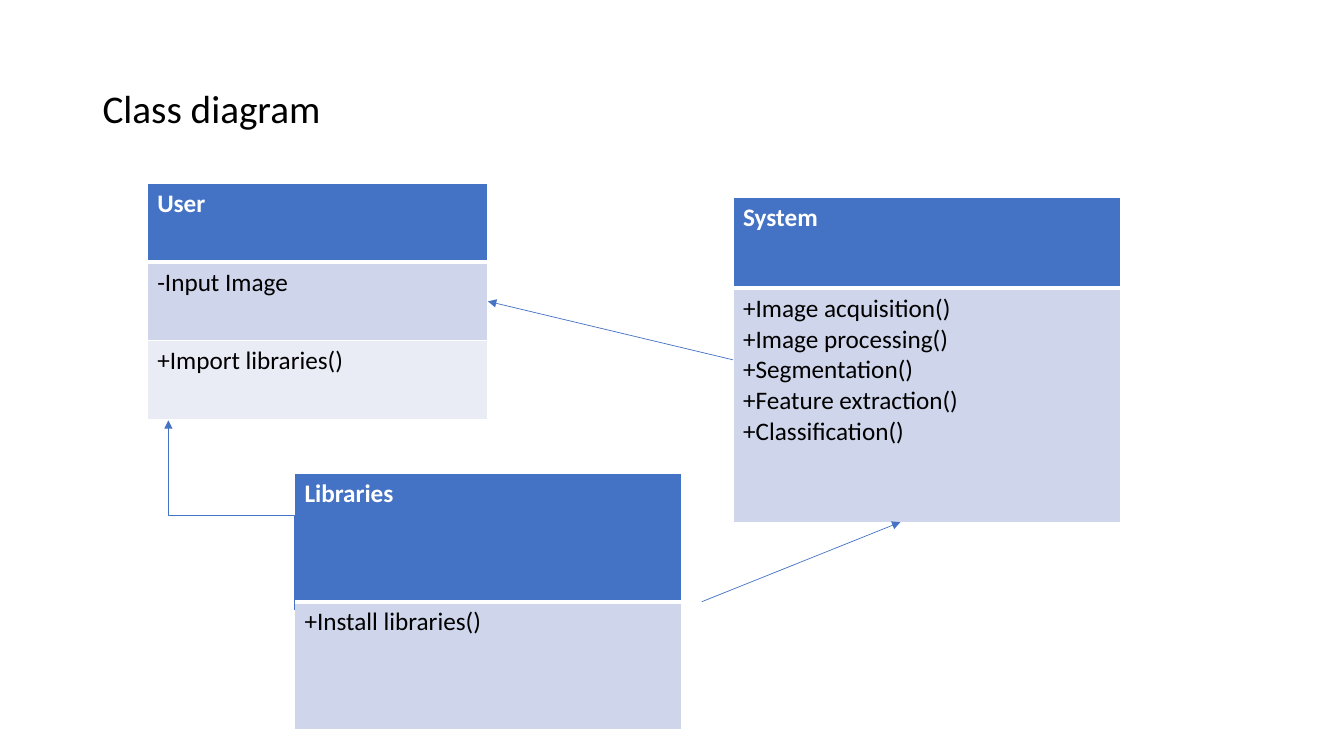
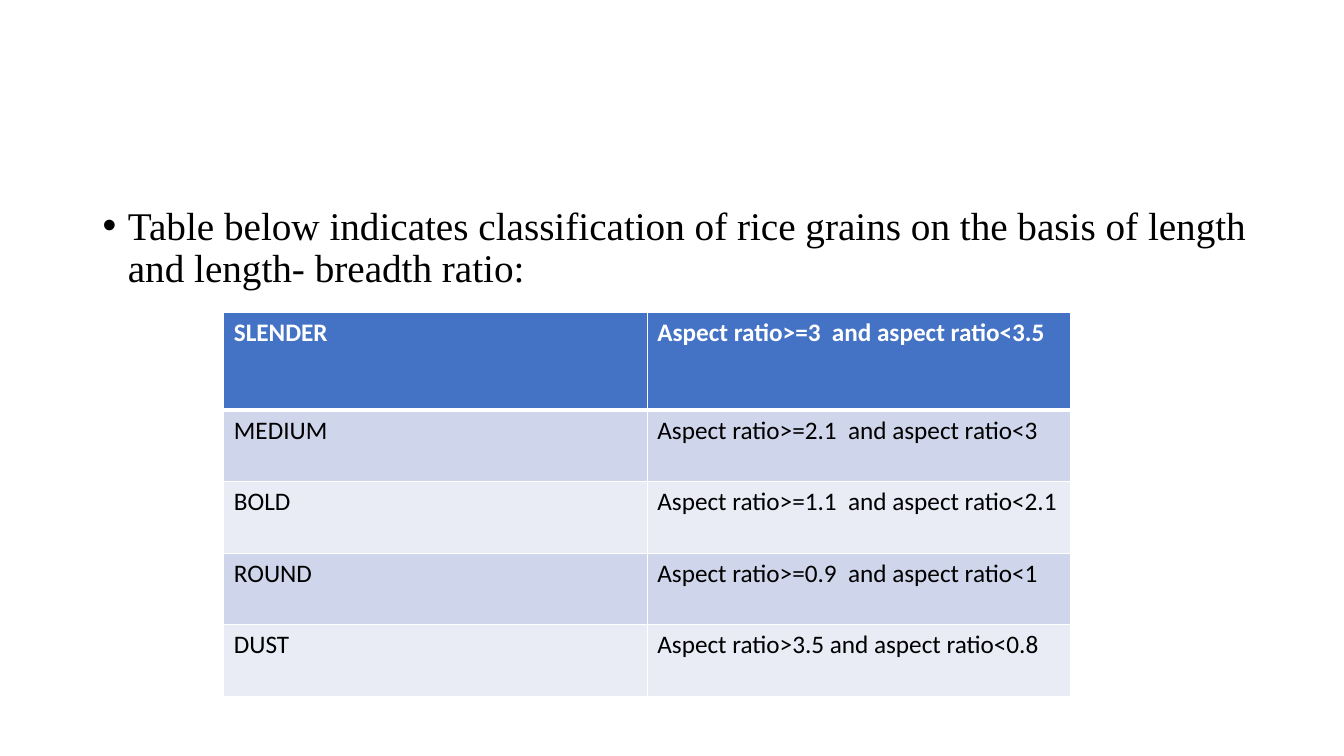
from lxml.etree import SubElement
from pptx import Presentation
from pptx.dml.color import RGBColor
from pptx.enum.shapes import MSO_CONNECTOR
from pptx.enum.text import MSO_ANCHOR
from pptx.oxml.ns import qn
from pptx.util import Inches, Pt

BLUE, WHITE, BLACK = "4472C4", "FFFFFF", "000000"
BANDS = ("CFD5EA", "E9EBF5")
HEAD_FONT = {"name": "Calibri", "size": Pt(18), "bold": True}
CELL_FONT = {"name": "Calibri", "size": Pt(18), "bold": False}
TITLE_FONT = {"name": "Calibri", "size": Pt(28)}
BODY_FONT = {"name": "Times New Roman", "size": Pt(28)}


def rgb(value):
    return RGBColor.from_string(value)


class Deck:
    """Holds the presentation, its style and the current slide."""

    def __init__(self):
        self.prs = Presentation()
        self.prs.slide_width, self.prs.slide_height = Inches(13.33), Inches(7.5)
        self.s = None

    def slide(self):
        self.s = self.prs.slides.add_slide(self.prs.slide_layouts[6])

    def styled_run(self, p, text, font, color):
        r = p.add_run()
        r.text = text
        for name, value in font.items():
            setattr(r.font, name, value)
        r.font.color.rgb = rgb(color)

    def text(self, x, y, w, h, text, font, anchor=MSO_ANCHOR.TOP):
        tf = self.s.shapes.add_textbox(*map(Inches, (x, y, w, h))).text_frame
        tf.word_wrap = True
        tf.vertical_anchor = anchor
        p = tf.paragraphs[0]
        p.line_spacing = 0.9
        self.styled_run(p, text, font, BLACK)
        return p

    def title(self, text):
        self.text(0.92, 0.37, 11.5, 1.45, text, TITLE_FONT, MSO_ANCHOR.MIDDLE)

    def bullet(self, x, y, w, h, text):
        p = self.text(x, y, w, h, text, BODY_FONT)
        p.space_before = Pt(10)
        pPr = p._p.get_or_add_pPr()
        pPr.set("marL", str(Inches(0.25)))
        pPr.set("indent", str(-Inches(0.25)))
        SubElement(pPr, qn("a:buFont"), typeface="Arial")
        SubElement(pPr, qn("a:buChar"), char="•")

    def borders(self, cell, top, bottom):
        tcPr = cell._tc.get_or_add_tcPr()
        for side, width in (("L", 1), ("R", 1), ("T", top), ("B", bottom)):
            ln = SubElement(tcPr, qn(f"a:ln{side}"), w=str(Pt(width)))
            fill = SubElement(ln, qn("a:solidFill"))
            SubElement(fill, qn("a:srgbClr"), val=WHITE)

    def table(self, x, y, col_width, heights, rows):
        """Draw a blue heading row over banded rows; a line break starts a paragraph."""
        cols = len(rows[0])
        frame = self.s.shapes.add_table(
            len(rows), cols, *map(Inches, (x, y, col_width * cols, sum(heights))))
        table = frame.table
        for col in table.columns:
            col.width = Inches(col_width)
        for i, (height, row) in enumerate(zip(heights, rows)):
            table.rows[i].height = Inches(height)
            head = i == 0
            font, color = (HEAD_FONT, WHITE) if head else (CELL_FONT, BLACK)
            for j, text in enumerate(row):
                cell = table.cell(i, j)
                self.borders(cell, 3 if i == 1 else 1, 3 if head else 1)
                cell.fill.solid()
                cell.fill.fore_color.rgb = rgb(BLUE if head else BANDS[(i - 1) % 2])
                tf = cell.text_frame
                for k, line in enumerate(text.split("\n")):
                    p = tf.add_paragraph() if k else tf.paragraphs[0]
                    self.styled_run(p, line, font, color)

    def arrow(self, x1, y1, x2, y2, kind=MSO_CONNECTOR.STRAIGHT):
        c = self.s.shapes.add_connector(kind, *map(Inches, (x1, y1, x2, y2)))
        c.line.color.rgb = rgb(BLUE)
        c.line.width = Pt(0.5)
        spPr = c._element.spPr
        SubElement(spPr.find(qn("a:ln")), qn("a:tailEnd"), type="triangle")
        SubElement(spPr, qn("a:effectLst"))
        return c

    def rising_elbow(self, x1, y1, x2, y2):
        """Draw an elbow arrow to the upper left that leaves and arrives vertically."""
        cx, cy = (x1 + x2) / 2, (y1 + y2) / 2
        dx, dy = (y1 - y2) / 2, (x1 - x2) / 2
        c = self.arrow(cx - dx, cy + dy, cx + dx, cy - dy, MSO_CONNECTOR.ELBOW)
        c._element.spPr.find(qn("a:xfrm")).set("rot", str(270 * 60000))


def class_diagram(deck):
    deck.slide()
    deck.title("Class diagram")
    methods = ("+Image acquisition()\n+Image processing()\n+Segmentation()\n"
               "+Feature extraction()\n+Classification()")
    deck.table(1.46, 1.82, 3.38, [0.78] * 3,
               [["User"], ["-Input Image"], ["+Import libraries()"]])
    deck.table(7.27, 1.96, 3.84, [0.9, 2.32], [["System"], [methods]])
    deck.table(2.92, 4.7, 3.84, [1.27] * 2, [["Libraries"], ["+Install libraries()"]])
    deck.rising_elbow(2.92, 6.05, 1.67, 4.17)
    deck.arrow(6.96, 5.97, 8.93, 5.18)
    deck.arrow(7.27, 3.57, 4.84, 2.99)


def grain_classes(deck):
    deck.slide()
    deck.bullet(0.92, 2, 11.65, 5.31,
                "Table below indicates classification of rice grains on the basis "
                "of length and length- breadth ratio:")
    deck.table(2.22, 3.1, 4.2, [0.97] + [0.71] * 4, [
        ["SLENDER", "Aspect ratio>=3  and aspect ratio<3.5"],
        ["MEDIUM", "Aspect ratio>=2.1  and aspect ratio<3"],
        ["BOLD", "Aspect ratio>=1.1  and aspect ratio<2.1"],
        ["ROUND", "Aspect ratio>=0.9  and aspect ratio<1"],
        ["DUST", "Aspect ratio>3.5 and aspect ratio<0.8"],
    ])


def main():
    deck = Deck()
    class_diagram(deck)
    grain_classes(deck)
    deck.prs.save("out.pptx")


if __name__ == "__main__":
    main()
